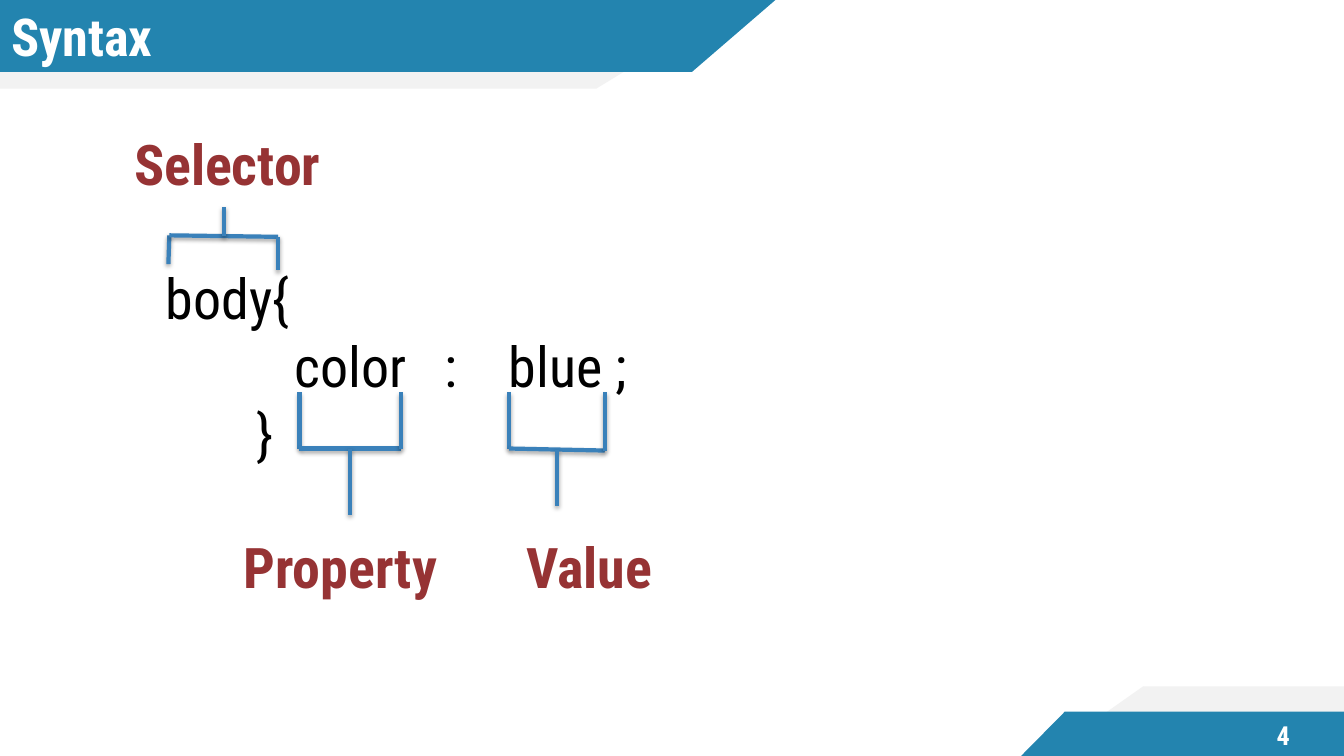
from lxml.etree import SubElement
from pptx import Presentation
from pptx.dml.color import RGBColor
from pptx.enum.shapes import MSO_CONNECTOR as Connector, MSO_SHAPE as Preset
from pptx.enum.text import MSO_ANCHOR as Anchor, MSO_AUTO_SIZE as AutoSize, PP_ALIGN as Align
from pptx.oxml.ns import qn
from pptx.util import Inches, Pt

WIDTH, HEIGHT = Inches(13.333), Inches(7.5)
FONT = "Roboto Condensed"
BLUE, GREY, LINE_BLUE = "2384AF", "F2F2F2", "3A81BA"
RED, BLACK, WHITE = "963334", "000000", "FFFFFF"
CODE_LEFT = 1.35
CODE_SIZE, CODE_PITCH, SPACE_WIDTH = 40, 48, 9.1


def color(hex_text):
    return RGBColor.from_string(hex_text)


# Lengths are percentages of the slide's width and height
def across(share):
    return round(WIDTH * share / 100)


def down(share):
    return round(HEIGHT * share / 100)


def place(shape, left, top, width, height):
    shape.left, shape.top = across(left), down(top)
    shape.width, shape.height = across(width), down(height)


def add_run(para, text, size, ink, bold=False):
    span = para.add_run()
    span.text = text
    font = span.font
    font.name, font.size, font.bold = FONT, Pt(size), bold
    font.color.rgb = color(ink)
    return span


def set_frame(box, anchor, left_inset=0):
    frame = box.text_frame
    frame.word_wrap = True
    frame.auto_size = AutoSize.NONE
    frame.vertical_anchor = anchor
    frame.margin_left = Inches(left_inset)
    frame.margin_top = frame.margin_right = frame.margin_bottom = 0
    return frame


def add_piece(page, preset, left, top, width, height, fill):
    piece = page.shapes.add_shape(
        preset, across(left), down(top), across(width), down(height))
    piece.shadow.inherit = False
    piece.fill.solid()
    piece.fill.fore_color.rgb = color(fill)
    piece.line.fill.background()
    return piece


def add_top_band(page, flat_end, tip, height, fill):
    add_piece(page, Preset.RECTANGLE, 0, 0, flat_end, height, fill)
    slope = add_piece(page, Preset.RIGHT_TRIANGLE, flat_end, 0,
                      tip - flat_end, height, fill)
    slope.element.spPr.xfrm.set("flipV", "1")


def add_bottom_band(page, tip, flat_start, height, fill):
    top = 100 - height
    add_piece(page, Preset.RECTANGLE, flat_start, top, 100 - flat_start, height, fill)
    slope = add_piece(page, Preset.RIGHT_TRIANGLE, tip, top,
                      flat_start - tip, height, fill)
    slope.element.spPr.xfrm.set("flipH", "1")


def add_line(page, start, end):
    line = page.shapes.add_connector(
        Connector.STRAIGHT, across(start[0]), down(start[1]),
        across(end[0]), down(end[1]))
    line.line.color.rgb = color(LINE_BLUE)
    line.line.width = Pt(3)
    # Soft shadow straight below
    effects = SubElement(line.element.spPr, qn("a:effectLst"))
    shadow = SubElement(effects, qn("a:outerShdw"), blurRad=str(Pt(3.1)),
                        dist=str(Pt(1.8)), dir="5400000", rotWithShape="0")
    shade = SubElement(shadow, qn("a:srgbClr"), val=BLACK)
    SubElement(shade, qn("a:alpha"), val="35000")


def add_bracket(page, corners, stem_end):
    for start, end in zip(corners, corners[1:]):
        add_line(page, start, end)
    (left, left_y), (right, right_y) = corners[1:3]
    middle = (left + right) / 2
    add_line(page, (middle, (left_y + right_y) / 2), (middle, stem_end))


def add_code_line(para, left, words, ink, bold, skipped_lines):
    """Each word comes with the width of the gap before it, in spaces."""
    para.alignment = Align.LEFT
    para.line_spacing = Pt(CODE_PITCH)
    para.space_before = Pt(CODE_PITCH * skipped_lines)
    para.space_after = Pt(0)
    props = para._p.get_or_add_pPr()
    props.set("marL", str(across(left - CODE_LEFT)))
    props.set("indent", "0")
    SubElement(props, qn("a:buNone"))
    for gap, word in words:
        if gap:
            space = add_run(para, " ", CODE_SIZE, ink, bold)
            spread = round((gap - 1) * SPACE_WIDTH * 100)
            space.font._element.set("spc", str(spread))
        add_run(para, word, CODE_SIZE, ink, bold)


def add_code(page):
    body = page.placeholders[1]
    place(body, CODE_LEFT, 17.13, 95.4, 73.67)
    frame = set_frame(body, Anchor.TOP)
    lines = [
        (9.98, [(0, "Selector")], RED, True, 0),
        (12.34, [(0, "body{")], BLACK, False, 1),
        (21.9, [(0, "color"), (3, ":"), (4, "blue ;")], BLACK, False, 0),
        (19.1, [(0, "}")], BLACK, False, 0),
        (18.1, [(0, "Property"), (7, "Value")], RED, True, 1),
    ]
    for number, line in enumerate(lines):
        para = frame.add_paragraph() if number else frame.paragraphs[0]
        add_code_line(para, *line)


def add_title(page, text):
    title = page.shapes.title
    place(title, 0, 0.53, 55.2, 8.4)
    para = set_frame(title, Anchor.MIDDLE, 0.11).paragraphs[0]
    para.alignment = Align.LEFT
    add_run(para, text, 37.3, WHITE, True)


def add_page_number(page, number):
    box = page.shapes.add_textbox(across(92.18), down(94.5), across(6.6), down(5.5))
    para = set_frame(box, Anchor.MIDDLE).paragraphs[0]
    para.alignment = Align.CENTER
    add_run(para, number, 18.7, WHITE, True)


def main():
    deck = Presentation()
    deck.slide_width, deck.slide_height = WIDTH, HEIGHT
    page = deck.slides.add_slide(deck.slide_layouts[1])
    title, body = page.shapes.title, page.placeholders[1]

    # Header and footer bands
    add_top_band(page, 44.36, 55.2, 11.73, GREY)
    add_top_band(page, 51.5, 57.7, 9.5, BLUE)
    add_bottom_band(page, 77.7, 85.05, 9.2, GREY)
    add_bottom_band(page, 75.98, 79.24, 5.87, BLUE)

    # Texts in front of the bands
    for holder in (title, body):
        page.shapes.element.append(holder.element)
    add_title(page, "Syntax")
    add_page_number(page, "4")
    add_code(page)

    # Brackets for selector, property and value
    add_bracket(page, [(12.53, 34.93), (12.6, 31.13), (20.7, 31.33), (20.7, 35.73)], 27.33)
    add_bracket(page, [(22.28, 51.87), (22.28, 59.33), (29.85, 59.33), (29.85, 51.87)], 68.13)
    add_bracket(page, [(37.88, 51.87), (37.88, 59.33), (45, 59.6), (45, 51.87)], 66.93)

    deck.save("out.pptx")


if __name__ == "__main__":
    main()
